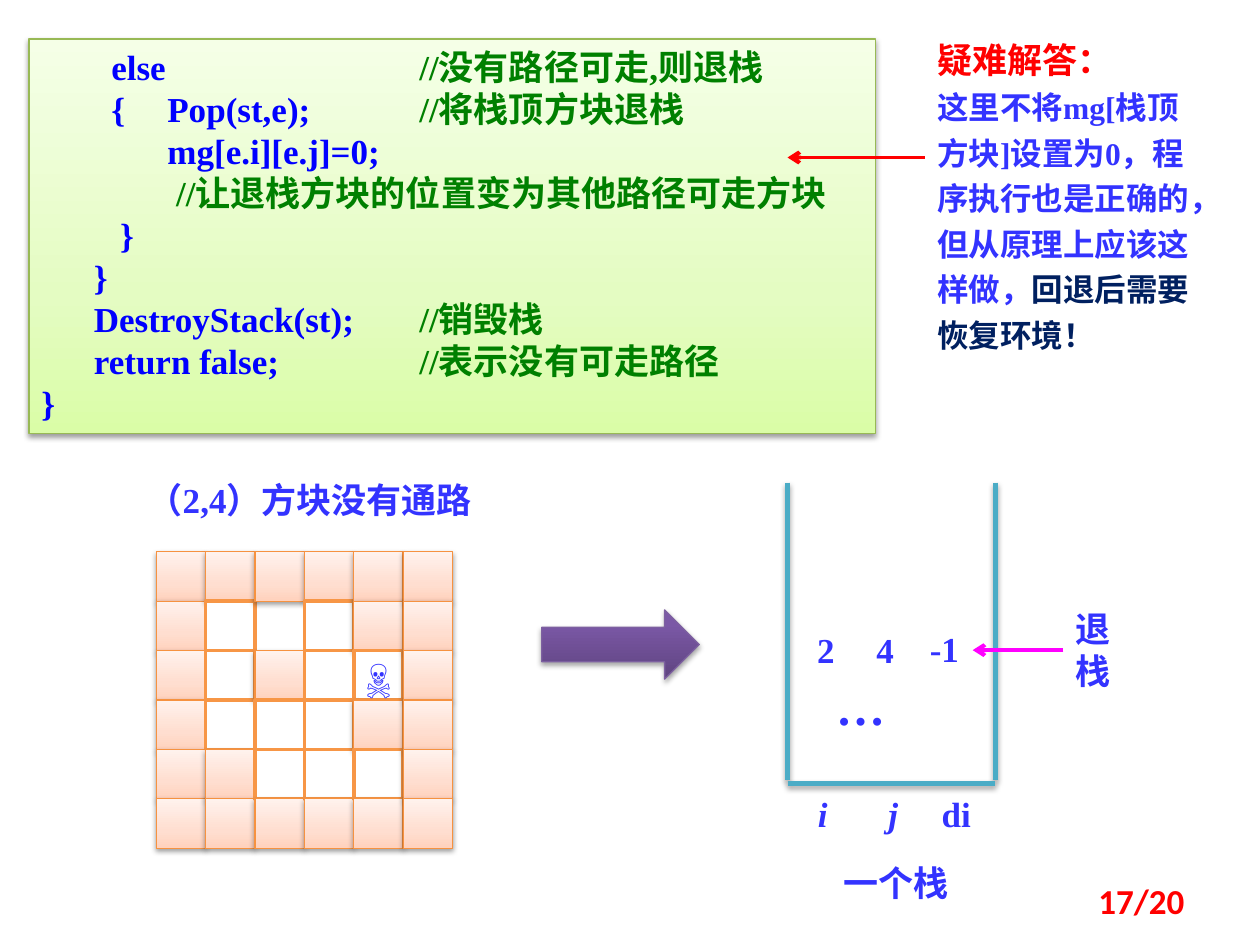
from lxml.etree import SubElement
from pptx import Presentation
from pptx.dml.color import RGBColor
from pptx.enum.shapes import MSO_CONNECTOR, MSO_SHAPE as Shape
from pptx.enum.text import MSO_ANCHOR as Anchor, MSO_AUTO_SIZE as AutoSize, PP_ALIGN as Align
from pptx.oxml.ns import qn
from pptx.util import Inches, Pt

BLUE = RGBColor(0x33, 0x33, 0xFF)
CODE_BLUE = RGBColor(0x00, 0x00, 0xFF)
COMMENT_GREEN = RGBColor(0x00, 0x80, 0x00)
RED = RGBColor(0xFF, 0x00, 0x00)
NAVY = RGBColor(0x00, 0x20, 0x60)
MAGENTA = RGBColor(0xFF, 0x00, 0xFF)
TEAL = RGBColor(0x4B, 0xAC, 0xC6)
WHITE = RGBColor(0xFF, 0xFF, 0xFF)
CODE_EDGE = RGBColor(0x98, 0xB9, 0x55)
WALL_EDGE = RGBColor(0xF6, 0x92, 0x40)
PATH_EDGE = RGBColor(0xF7, 0x96, 0x46)
ARROW_EDGE = RGBColor(0x7D, 0x60, 0xA0)

# Gradients run from bottom to top: (percent, colour)
CODE_FILL = [(0, "DAFDA7"), (35, "E4FCC2"), (100, "F5FFE7")]
WALL_FILL = [(0, "FFD2BD"), (35, "FFDED0"), (100, "FFF2ED")]
ARROW_FILL = [(0, "5F4480"), (80, "7B58A6"), (100, "7C57A8")]

LATIN, CJK = "Times New Roman", "Noto Sans CJK SC"

CODE = [  # (statement, comment)
    ("        else\t\t\t", "//没有路径可走,则退栈"),
    ("        {\tPop(st,e);\t", "//将栈顶方块退栈"),
    ("\tmg[e.i][e.j]=0;", ""),
    ("\t", " //让退栈方块的位置变为其他路径可走方块"),
    ("         }", ""),
    ("      }", ""),
    ("      DestroyStack(st);\t", "//销毁栈"),
    ("      return false;\t\t", "//表示没有可走路径"),
    ("}", ""),
]
MAZE = [  # "#" wall, "o" path, "." left open
    "######",
    "#o.o##",
    "#o#oo#",
    "#ooo##",
    "##ooo#",
    "######",
]
CELL = 3.92


def write(para, text, size=20, color=BLUE, font=LATIN, bold=True, italic=False):
    span = para.add_run()
    span.text = text
    span.font.size, span.font.bold, span.font.italic = Pt(size), bold, italic
    span.font.color.rgb = color
    span.font.name = font
    SubElement(span.font._element, qn("a:ea"), typeface=CJK)


def set_tabs(para, positions, align):
    tabs = SubElement(para._p.get_or_add_pPr(), qn("a:tabLst"))
    for position in positions:
        SubElement(tabs, qn("a:tab"), pos=str(Inches(position)), algn=align)


class Board:
    """Holds the slide and places elements on a grid of 100 columns by 75 rows."""

    def __init__(self, deck):
        self.slide = deck.slides.add_slide(deck.slide_layouts[6])
        self.column, self.row = deck.slide_width / 100, deck.slide_height / 75

    def place(self, *lengths):
        units = (self.column, self.row) * 2
        return [round(length * unit) for length, unit in zip(lengths, units)]

    def shade(self, properties, alpha, distance):
        effects = properties.find(qn("a:effectLst"))
        shadow = SubElement(effects, qn("a:outerShdw"), blurRad=str(Pt(3.1)),
                            dist=str(Pt(distance)), dir="5400000", rotWithShape="0")
        black = SubElement(shadow, qn("a:srgbClr"), val="000000")
        SubElement(black, qn("a:alpha"), val=str(alpha * 1000))

    def shape(self, kind, at, edge=None, width=0.75, stops=None, distance=1.6, alpha=38):
        """Adds a white shape, or a shadowed one with a gradient if stops are given."""
        shape = self.slide.shapes.add_shape(kind, *self.place(*at))
        if edge is None:
            shape.line.fill.background()
        else:
            shape.line.color.rgb, shape.line.width = edge, Pt(width)
        shape.shadow.inherit = False
        if not stops:
            shape.fill.solid()
            shape.fill.fore_color.rgb = WHITE
            return shape
        shape.fill.gradient()
        shape.fill.gradient_angle = 90
        properties = shape._element.spPr
        stop_list = properties.find(f".//{qn('a:gsLst')}")
        for old_stop in list(stop_list):
            stop_list.remove(old_stop)
        for percent, color in stops:
            stop = SubElement(stop_list, qn("a:gs"), pos=str(percent * 1000))
            SubElement(stop, qn("a:srgbClr"), val=color)
        self.shade(properties, alpha, distance)
        return shape

    def fill_text(self, shape, paragraphs, align=Align.LEFT, inset=True, spacing=None,
                  anchor=Anchor.TOP, grow=True, tabs=()):
        """Fills a shape; each paragraph is a list of (text, format) spans."""
        frame = shape.text_frame
        frame.word_wrap, frame.vertical_anchor = True, anchor
        frame.auto_size = AutoSize.SHAPE_TO_FIT_TEXT if grow else AutoSize.NONE
        frame.margin_left = frame.margin_right = Inches(0.1 if inset else 0)
        frame.margin_top = frame.margin_bottom = Inches(0.05 if inset else 0)
        for index, spans in enumerate(paragraphs):
            para = frame.add_paragraph() if index else frame.paragraphs[0]
            para.alignment = align
            if spacing:
                para.line_spacing = Pt(spacing)
            if tabs:
                set_tabs(para, tabs, "l")
            for text, style in spans:
                write(para, text, **style)

    def text(self, at, paragraphs, **layout):
        box = self.slide.shapes.add_textbox(*self.place(*at))
        self.fill_text(box, paragraphs, **layout)
        return box

    def label(self, at, text, inset=False, **style):
        return self.text(at, [[(text, style)]], align=Align.CENTER, inset=inset)

    def white_label(self, at, text, **style):
        box = self.shape(Shape.RECTANGLE, at)
        self.fill_text(box, [[(text, style)]], align=Align.CENTER, inset=False)

    def line(self, start, end, color, width, arrow=False, shadow=False):
        line = self.slide.shapes.add_connector(
            MSO_CONNECTOR.STRAIGHT, *self.place(*start, *end))
        line.line.color.rgb, line.line.width = color, Pt(width)
        if arrow:
            SubElement(line.line._get_or_add_ln(), qn("a:tailEnd"), type="arrow")
        SubElement(line._element.spPr, qn("a:effectLst"))
        if shadow:
            self.shade(line._element.spPr, 35, 1.8)
        return line


def add_code(board):
    box = board.shape(Shape.RECTANGLE, (2.3, 3.1, 67.2, 31.3), CODE_EDGE, stops=CODE_FILL)
    board.fill_text(box, [
        [(text, {"color": color})
         for text, color in ((statement, CODE_BLUE), (comment, COMMENT_GREEN)) if text]
        for statement, comment in CODE], tabs=(1, 2, 3))


def add_maze(board):
    for column, cells in enumerate(zip(*MAZE)):
        for row, cell in enumerate(cells):
            at = (12.4 + column * CELL, 43.8 + row * CELL, CELL, CELL)
            if cell == "#":
                board.shape(Shape.RECTANGLE, at, WALL_EDGE, stops=WALL_FILL)
            elif cell == "o":
                board.shape(Shape.RECTANGLE, at, PATH_EDGE, width=2)
    board.label((8.6, 37.5, 32, 4.4), "（2,4）方块没有通路", inset=True)
    board.white_label((28.5, 52.1, 3.1, 3.3), "☠")


def add_stack(board):
    left, right, top, bottom = 62.5, 79, 38.3, 61.9
    for side in (left, right):
        board.line((side, top), (side, bottom), TEAL, 3, shadow=True)
    board.line((left, 62.2), (right, 62.2), TEAL, 3, shadow=True)
    board.label((64, 49.9, 3.1, 3.3), "2")
    board.label((68.7, 49.9, 3.1, 3.3), "4")
    board.white_label((73.4, 49.8, 3.1, 3.3), "-1")
    board.label((64.4, 53.7, 7.8, 4.7), "…", size=28)

    names = board.text((62.4, 62.9, 17.3, 3.3), [[]], inset=False)
    para = names.text_frame.paragraphs[0]
    set_tabs(para, (0.29, 0.85, 1.35), "ctr")
    write(para, "\ti\tj", italic=True)
    write(para, "\tdi")
    board.white_label((65.6, 68.4, 11, 3.3), "一个栈", font=CJK)

    pop = board.label((84.4, 47.7, 3.9, 7.8), "退栈", inset=True, font=CJK)
    pointer = board.line((84.2, 51.6), (77.2, 51.6), MAGENTA, 2.25, arrow=True)
    pointer.begin_connect(pop, 1)


def add_explanation(board):
    board.text((73.4, 2.3, 23.4, 26.5), [
        [("疑难解答：", {"color": RED})],
        [("这里不将mg[栈顶方块]设置为0，程序执行也是正确的，但从原理上应该这样做，", {"size": 18}),
         ("回退后需要恢复环境！", {"size": 18, "color": NAVY})],
    ], spacing=26)
    board.line((73.4, 12.5), (62.5, 12.5), RED, 2.25, arrow=True)


def main():
    deck = Presentation()
    deck.slide_width, deck.slide_height = Inches(10), Inches(7.5)
    board = Board(deck)
    add_code(board)
    add_maze(board)
    add_stack(board)
    board.shape(Shape.RIGHT_ARROW, (43, 48.4, 12.5, 5.5), ARROW_EDGE,
                stops=ARROW_FILL, distance=1.8, alpha=35)
    add_explanation(board)
    board.text((71.7, 69.5, 23.3, 4), [[("17/20", {"color": RED, "font": "Calibri"})]],
               align=Align.RIGHT, anchor=Anchor.MIDDLE, grow=False)
    deck.save("out.pptx")


if __name__ == "__main__":
    main()
